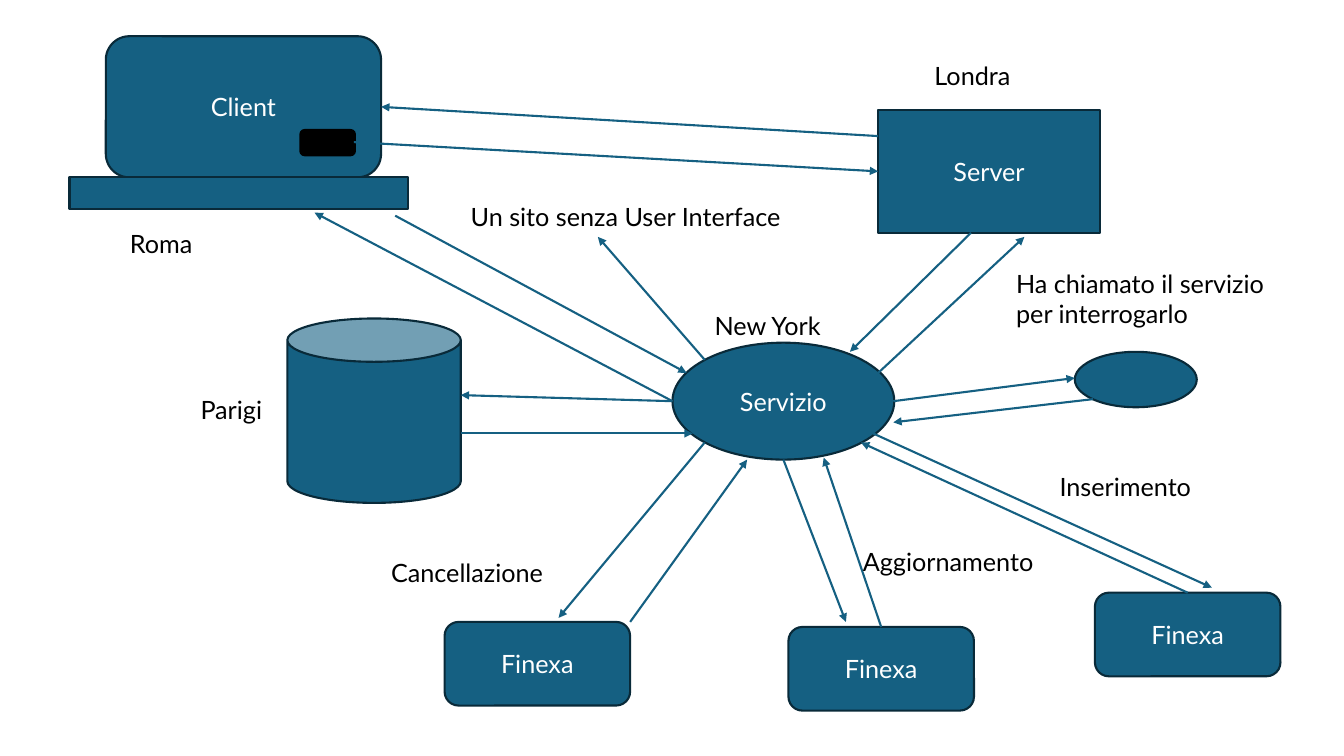
from collections import namedtuple

from lxml import etree
from pptx import Presentation
from pptx import util as u
from pptx.dml.color import RGBColor
from pptx.enum import shapes, text
from pptx.oxml.ns import qn

BLUE = RGBColor(0x15, 0x60, 0x82)
NAVY = RGBColor(0x09, 0x2A, 0x39)
BLACK = RGBColor(0, 0, 0)
WHITE = RGBColor(0xFF, 0xFF, 0xFF)
FONT = "Lato"
SHAPE = shapes.MSO_SHAPE

Box = namedtuple("Box", "left top width height")

LAPTOP = Box(0.69, 0.36, 3.36, 1.71)
SERVER = Box(8.71, 1.09, 2.2, 1.22)
DATABASE = Box(2.85, 3.16, 1.72, 1.83)
SERVICE = Box(6.67, 3.4, 2.2, 1.16)
CALLER = Box(10.66, 3.49, 1.21, 0.55)
DELETION = Box(4.41, 6.17, 1.84, 0.83)
UPDATE = Box(7.82, 6.22, 1.84, 0.83)
INSERTION = Box(10.86, 5.88, 1.84, 0.83)
REMARK = Box(4.57, 1.95, 3.53, 0.4)

EXCHANGES = [
    (LAPTOP, SERVER, (2.82, 1.05), (0, 0.61), (0, 0.26), (3.09, 0.7)),
    (SERVICE, LAPTOP, (0, 0.58), (2.43, 1.75), (3.23, 1.78), (0.14, 0.3)),
    (SERVICE, SERVER, (2.04, 0.3), (1.45, 1.26), (0.92, 1.22), (1.76, 0.09)),
    (SERVICE, DATABASE, (0, 0.58), (1.72, 0.76), (1.72, 1.14), (0.2, 0.9)),
    (SERVICE, CALLER, (2.19, 0.58), (0, 0.26), (0.18, 0.47), (2.19, 0.79)),
    (SERVICE, DELETION, (0.32, 0.99), (1.13, -0.04), (1.84, 0), (0.74, 1.16)),
    (SERVICE, UPDATE, (1.1, 1.16), (0.57, -0.05), (0.92, 0), (1.5, 1.14)),
    (SERVICE, INSERTION, (1.99, 0.9), (1.16, -0.05), (0.92, 0), (1.87, 0.99)),
]

LABELS = [
    ("Roma", Box(1.19, 2.22, 1.74, 0.4)),
    ("Londra", Box(9.17, 0.55, 1.5, 0.4)),
    ("Parigi", Box(1.89, 3.86, 0.98, 0.4)),
    ("New York", Box(6.99, 3.03, 1.37, 0.4)),
    ("Un sito senza User Interface", REMARK),
    ("Ha chiamato il servizio per interrogarlo", Box(9.98, 2.61, 2.73, 0.71)),
    ("Inserimento", Box(10.41, 4.63, 2.59, 0.4)),
    ("Aggiornamento", Box(8.46, 5.37, 2.16, 0.4)),
    ("Cancellazione", Box(3.78, 5.48, 1.98, 0.4)),
]


def write(frame, words, color):
    """Set the words of a text frame in the slide's font."""
    frame.word_wrap = True
    para = frame.paragraphs[0]
    para.text = words
    para.font.name = FONT
    para.font.size = u.Pt(18)
    para.font.color.rgb = color
    return para


def draw_node(page, kind, box, words="", fill=BLUE, line=NAVY):
    """Draw one filled shape with centred words."""
    node = page.shapes.add_shape(kind, *map(u.Inches, box))
    node.shadow.inherit = False
    node.fill.solid()
    node.fill.fore_color.rgb = fill
    node.line.color.rgb = line
    node.line.width = u.Pt(1.5)
    if words:
        node.text_frame.vertical_anchor = text.MSO_ANCHOR.MIDDLE
        para = write(node.text_frame, words, WHITE)
        para.alignment = text.PP_ALIGN.CENTER


def draw_laptop(page, box):
    """Draw the client laptop: screen, base and black badge."""
    screen = Box(box.left + 0.36, box.top, 2.73, 1.4)
    base = Box(box.left, box.top + 1.4, box.width, box.height - 1.4)
    badge = Box(box.left + 2.29, box.top + 0.93, 0.54, 0.25)
    draw_node(page, SHAPE.ROUNDED_RECTANGLE, screen, "Client")
    draw_node(page, SHAPE.RECTANGLE, base)
    draw_node(page, SHAPE.ROUNDED_RECTANGLE, badge, fill=BLACK, line=BLACK)


def draw_label(page, words, box):
    """Write a black label in its box."""
    label = page.shapes.add_textbox(*map(u.Inches, box))
    write(label.text_frame, words, BLACK)
    label.text_frame.auto_size = text.MSO_AUTO_SIZE.SHAPE_TO_FIT_TEXT


def draw_arrow(page, source, start, target, end):
    """Draw an arrow between two points given as offsets in their boxes."""
    arrow = page.shapes.add_connector(
        shapes.MSO_CONNECTOR.STRAIGHT,
        u.Inches(source.left + start[0]), u.Inches(source.top + start[1]),
        u.Inches(target.left + end[0]), u.Inches(target.top + end[1]))
    arrow.line.color.rgb = BLUE
    arrow.line.width = u.Pt(1.5)
    outline = arrow.line._get_or_add_ln()
    etree.SubElement(outline, qn("a:tailEnd"), type="triangle")
    etree.SubElement(arrow._element.spPr, qn("a:effectLst"))


def draw_exchange(page, caller, callee, ask, asked, answer, answered):
    """Draw the request and reply arrows between two boxes."""
    draw_arrow(page, caller, ask, callee, asked)
    draw_arrow(page, callee, answer, caller, answered)


def main():
    """Build the service diagram and save it."""
    deck = Presentation()
    deck.slide_width = u.Inches(13.33)
    deck.slide_height = u.Inches(7.5)
    page = deck.slides.add_slide(deck.slide_layouts[6])
    draw_laptop(page, LAPTOP)
    draw_node(page, SHAPE.RECTANGLE, SERVER, "Server")
    draw_node(page, SHAPE.CAN, DATABASE)
    draw_node(page, SHAPE.OVAL, SERVICE, "Servizio")
    draw_node(page, SHAPE.OVAL, CALLER)
    for bank in (DELETION, UPDATE, INSERTION):
        draw_node(page, SHAPE.ROUNDED_RECTANGLE, bank, "Finexa")
    for exchange in EXCHANGES:
        draw_exchange(page, *exchange)
    draw_arrow(page, SERVICE, (0.32, 0.17), REMARK, (1.36, 0.4))
    for words, box in LABELS:
        draw_label(page, words, box)
    deck.save("out.pptx")


if __name__ == "__main__":
    main()
